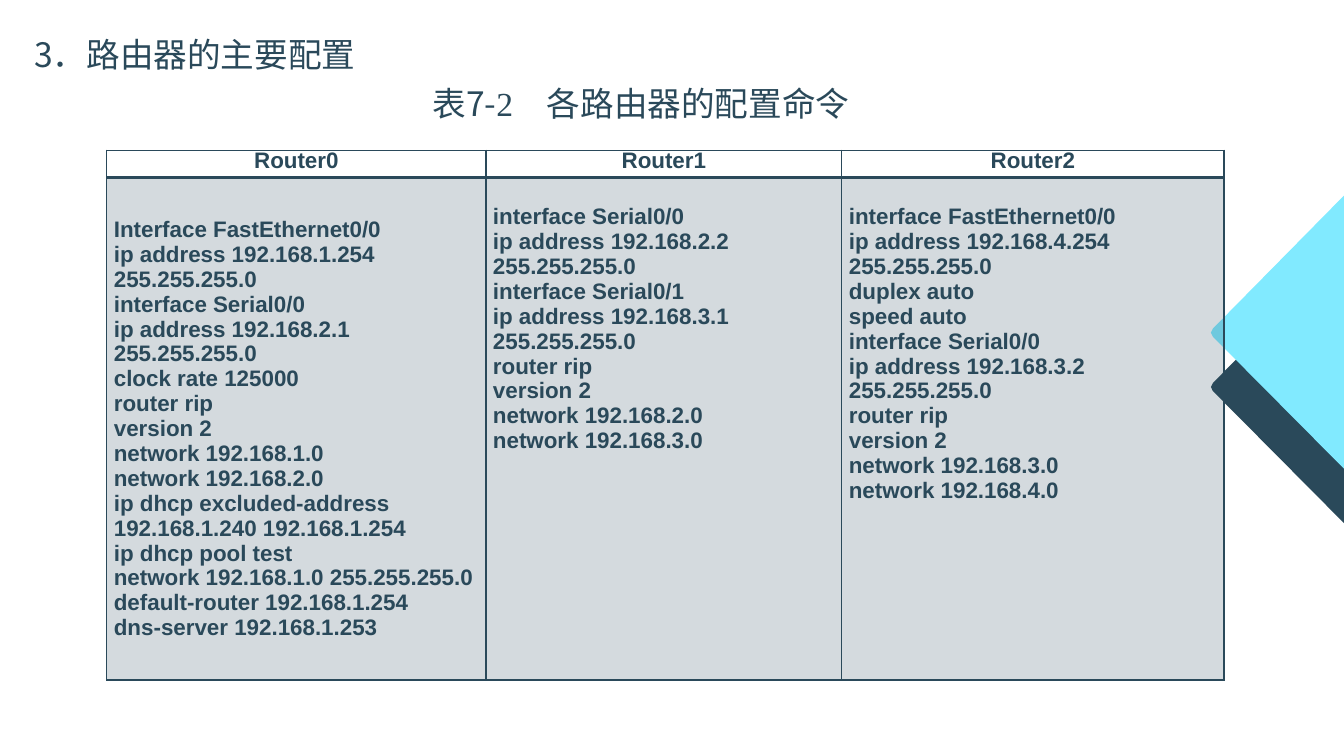
from lxml import etree
from pptx import Presentation
from pptx.dml.color import RGBColor
from pptx.enum.text import MSO_ANCHOR, PP_ALIGN
from pptx.oxml.ns import qn
from pptx.util import Inches, Pt

TOP, MIDDLE = MSO_ANCHOR.TOP, MSO_ANCHOR.MIDDLE
LEFT, CENTER = PP_ALIGN.LEFT, PP_ALIGN.CENTER

WIDTH, HEIGHT = 13.33, 7.5
NAVY, CYAN = "2A495A", "81EAFF"
CHINESE, SERIF, SANS = "Noto Sans CJK SC", "Times New Roman", "Arial"

HEADING = [("3．路由器的主要配置", CHINESE)]
CAPTION = [("表7-", CHINESE), ("2", SERIF), ("　各路由器的配置命令", CHINESE)]

ROUTERS = {
    "Router0": [
        "Interface FastEthernet0/0",
        "ip address 192.168.1.254 255.255.255.0",
        "interface Serial0/0",
        "ip address 192.168.2.1 255.255.255.0",
        "clock rate 125000",
        "router rip",
        "version 2",
        "network 192.168.1.0",
        "network 192.168.2.0",
        "ip dhcp excluded-address 192.168.1.240 192.168.1.254",
        "ip dhcp pool test",
        "network 192.168.1.0 255.255.255.0",
        "default-router 192.168.1.254",
        "dns-server 192.168.1.253",
    ],
    "Router1": [
        "interface Serial0/0",
        "ip address 192.168.2.2 255.255.255.0",
        "interface Serial0/1",
        "ip address 192.168.3.1 255.255.255.0",
        "router rip",
        "version 2",
        "network 192.168.2.0",
        "network 192.168.3.0",
    ],
    "Router2": [
        "interface FastEthernet0/0",
        "ip address 192.168.4.254 255.255.255.0",
        "duplex auto",
        "speed auto",
        "interface Serial0/0",
        "ip address 192.168.3.2 255.255.255.0",
        "router rip",
        "version 2",
        "network 192.168.3.0",
        "network 192.168.4.0",
    ],
}
COLUMN_WIDTHS = (3.76, 3.53, 3.79)
ROW_HEIGHTS = (0.27, 4.99)
BODY_ANCHORS = ((MIDDLE, 0), (TOP, 0.27), (TOP, 0.27))

WEDGES = ((2.48, NAVY), (1.94, CYAN))
WEDGE_HEIGHT = 2.71
WEDGE_TIP = ((12.03, 1.32), (12.02, 1.34), (12.01, 1.36), (12.02, 1.38), (12.03, 1.4))


def color(value):
    """Turn a hex string into a colour."""
    return RGBColor.from_string(value)


def add_run(paragraph, text, font, size, bold=False):
    """Add one run with its Latin and East Asian typeface."""
    run = paragraph.add_run()
    run.text = text
    run.font.name, run.font.size, run.font.bold = font, Pt(size), bold
    run.font.color.rgb = color(NAVY)
    if font == CHINESE:
        etree.SubElement(run.font._element, qn("a:ea"), typeface=font)


def add_wedge(slide, top, fill):
    """Draw a rounded arrow tip entering from the right edge."""
    outline = [*WEDGE_TIP, (WIDTH, WEDGE_HEIGHT)]
    builder = slide.shapes.build_freeform(Inches(WIDTH), Inches(top))
    builder.add_line_segments([(Inches(x), Inches(top + y)) for x, y in outline])
    shape = builder.convert_to_shape()
    shape.shadow.inherit = False
    shape.fill.solid()
    shape.fill.fore_color.rgb = color(fill)
    shape.line.fill.background()


def add_text(slide, box, runs, margins):
    """Add a one-line text box with left and top margins."""
    frame = slide.shapes.add_textbox(*map(Inches, box)).text_frame
    frame.word_wrap = True
    frame.margin_left, frame.margin_top = map(Inches, margins)
    frame.margin_right = frame.margin_bottom = 0
    for text, font in runs:
        add_run(frame.paragraphs[0], text, font, 24)


def set_borders(cell, widths):
    """Draw the four cell edges with the given point widths."""
    properties = cell._tc.get_or_add_tcPr()
    for side, width in zip("LRTB", widths):
        line = etree.SubElement(properties, qn(f"a:ln{side}"), w=str(Pt(width)))
        fill = etree.SubElement(line, qn("a:solidFill"))
        etree.SubElement(fill, qn("a:srgbClr"), val=NAVY)


def fill_cell(cell, lines, align, anchor, top=0, spacing=None):
    """Write the lines of a cell and place them."""
    cell.vertical_anchor = anchor
    cell.margin_left = cell.margin_right = Inches(0.07)
    cell.margin_top, cell.margin_bottom = Inches(top), 0
    frame = cell.text_frame
    for index, line in enumerate(lines):
        paragraph = frame.add_paragraph() if index else frame.paragraphs[0]
        paragraph.alignment, paragraph.line_spacing = align, spacing
        add_run(paragraph, line, SANS, 16, bold=True)


def add_router_table(slide):
    """Add the table with one column of commands per router."""
    size = sum(COLUMN_WIDTHS), sum(ROW_HEIGHTS)
    table = slide.shapes.add_table(
        2, len(ROUTERS), *map(Inches, (1.06, 1.49, *size))
    ).table
    table.first_row = table.horz_banding = False
    for row, height in zip(table.rows, ROW_HEIGHTS):
        row.height = Inches(height)
    for index, (name, commands) in enumerate(ROUTERS.items()):
        table.columns[index].width = Inches(COLUMN_WIDTHS[index])
        header, body = table.cell(0, index), table.cell(1, index)
        set_borders(header, (1, 1, 1, 2))
        header.fill.background()
        fill_cell(header, [name], CENTER, MIDDLE, spacing=Pt(14))
        set_borders(body, (1, 1, 2, 1.5))
        body.fill.solid()
        body.fill.fore_color.rgb = color(NAVY)
        tint = body._tc.tcPr.find(qn("a:solidFill"))[0]
        etree.SubElement(tint, qn("a:alpha"), val="20000")
        fill_cell(body, commands, LEFT, *BODY_ANCHORS[index])


def main():
    """Build the router configuration slide."""
    presentation = Presentation()
    presentation.slide_width = Inches(WIDTH)
    presentation.slide_height = Inches(HEIGHT)
    slide = presentation.slides.add_slide(presentation.slide_layouts[6])
    for top, fill in WEDGES:
        add_wedge(slide, top, fill)
    add_text(slide, (0.34, 0.34, 7.13, 0.43), HEADING, (0, 0))
    add_text(slide, (3.89, 0.77, 5.56, 0.5), CAPTION, (0.4, 0.05))
    add_router_table(slide)
    presentation.save("out.pptx")


if __name__ == "__main__":
    main()
